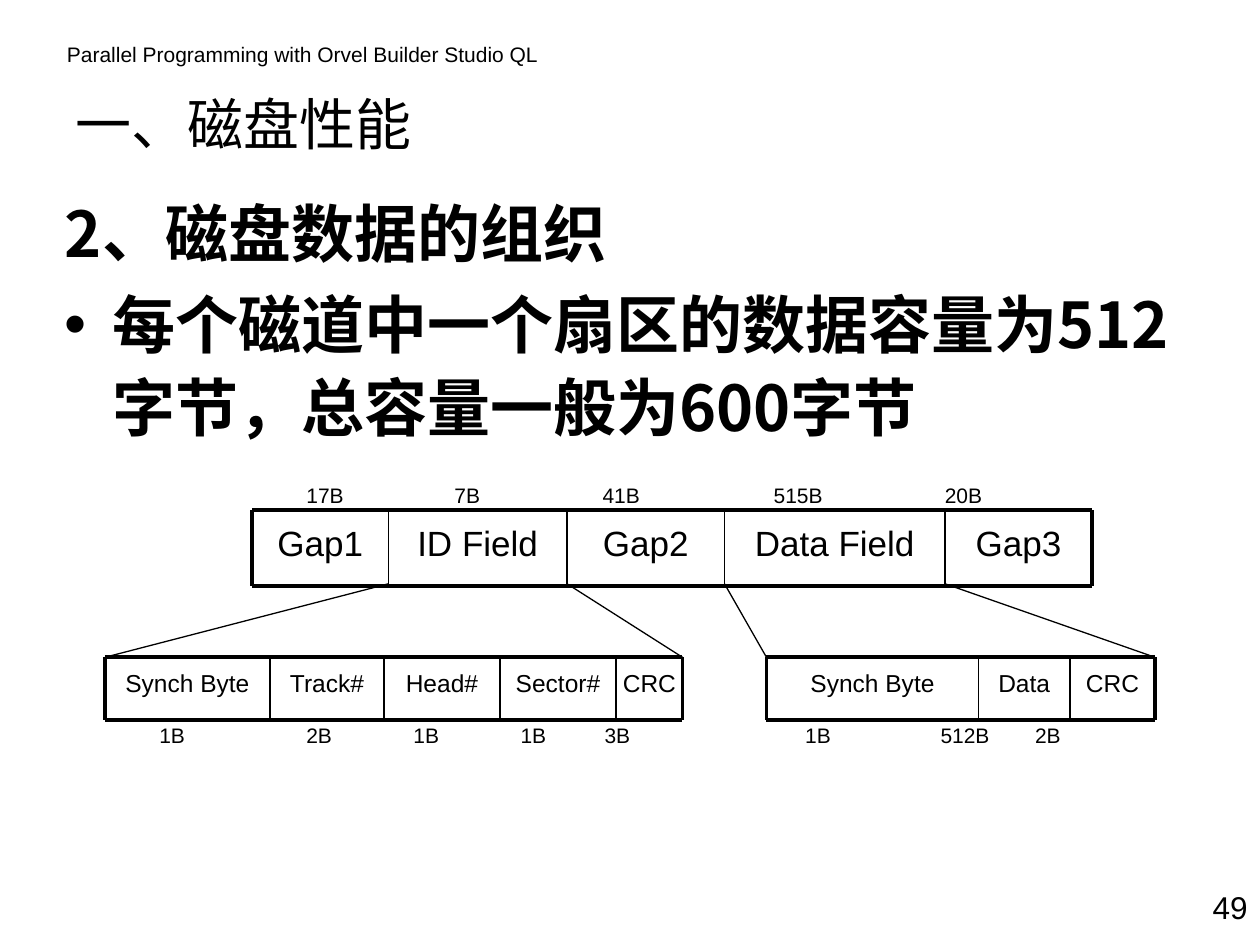
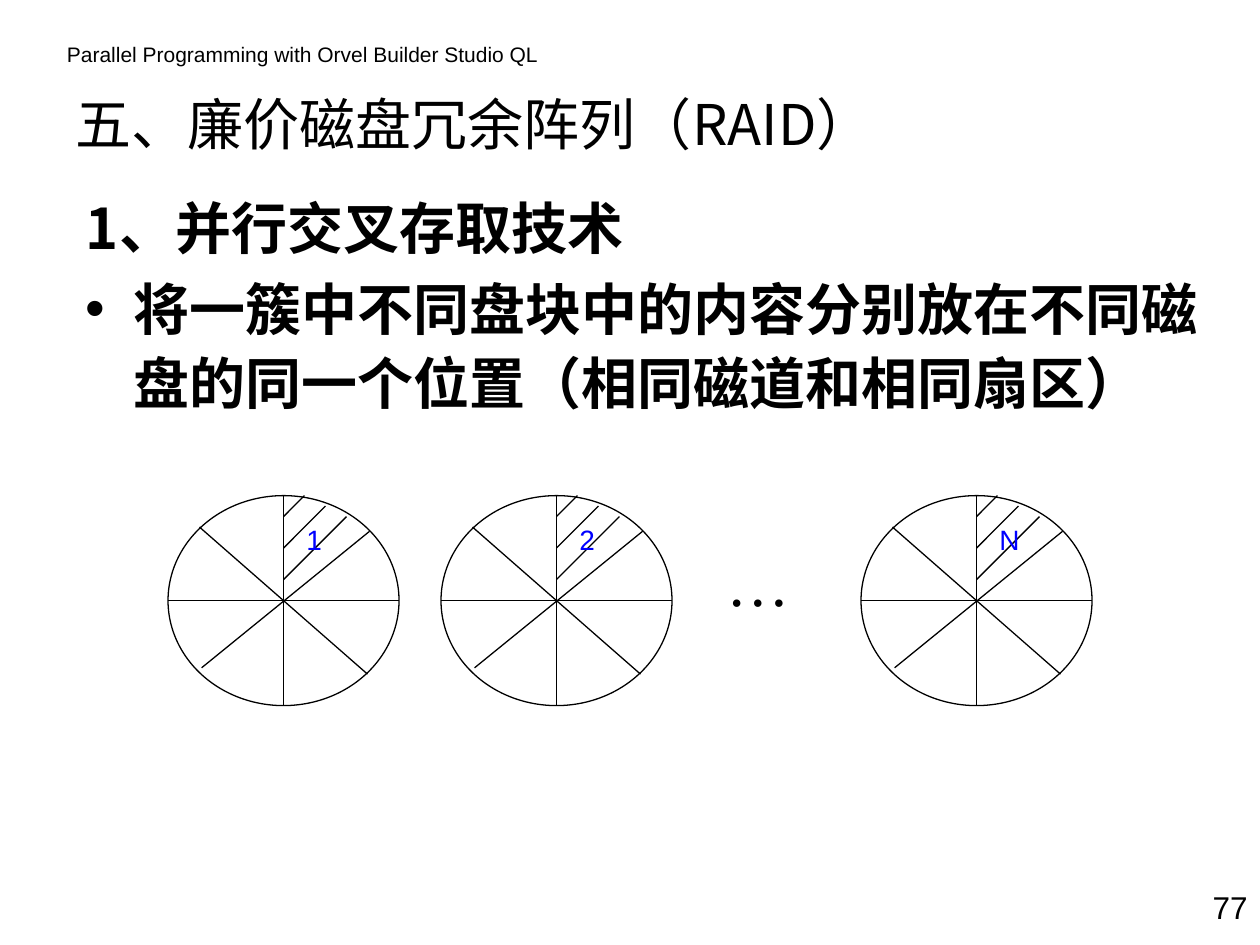
from dataclasses import dataclass
from itertools import pairwise

from lxml import etree
from pptx import Presentation
from pptx.dml.color import RGBColor
from pptx.enum.shapes import MSO_CONNECTOR, MSO_SHAPE
from pptx.enum.text import MSO_ANCHOR, PP_ALIGN
from pptx.oxml.ns import qn
from pptx.util import Pt

STRAIGHT = MSO_CONNECTOR.STRAIGHT
ELLIPSE = MSO_SHAPE.OVAL
LEFT, CENTER, RIGHT = PP_ALIGN.LEFT, PP_ALIGN.CENTER, PP_ALIGN.RIGHT
TOP, MIDDLE = MSO_ANCHOR.TOP, MSO_ANCHOR.MIDDLE

EMU_PER_PX = 7620  # 120 px to the inch
SLIDE_WIDTH, SLIDE_HEIGHT = 1200, 900
BULLET_INDENT = 45


@dataclass(frozen=True)
class Theme:
    ink: RGBColor = RGBColor(0, 0, 0)
    accent: RGBColor = RGBColor(0, 0, 255)
    paper: RGBColor = RGBColor(255, 255, 255)
    plain_font: str = "Arial"
    heading_font: str = "Noto Sans CJK SC"
    symbol_font: str = "Times New Roman"
    small: int = 12
    field: int = 14
    disk: int = 16
    page: int = 18
    record: int = 20
    title: int = 32
    symbol: int = 36
    hairline: float = 0.75
    divider: float = 1
    frame: float = 2.25


def emu(px):
    return round(px * EMU_PER_PX)


class Deck:
    """Holds the theme and the slide being drawn."""

    def __init__(self, theme):
        self.theme = theme
        self.presentation = Presentation()
        self.presentation.slide_width = emu(SLIDE_WIDTH)
        self.presentation.slide_height = emu(SLIDE_HEIGHT)
        self.slide = None

    def new_slide(self, title, title_width, page_number):
        blank = self.presentation.slide_layouts[6]
        self.slide = self.presentation.slides.add_slide(blank)
        background = self.slide.background.fill
        background.solid()
        background.fore_color.rgb = self.theme.paper
        self.text("Parallel Programming with Orvel Builder Studio QL", (52, 34, 492, 36))
        self.text(title, (60, 72, title_width, 90), size=self.theme.title,
                  font=self.theme.heading_font, anchor=MIDDLE)
        self.text(str(page_number), (1120, 840, 80, 48), size=self.theme.page, align=RIGHT)

    def text(self, text, box, *, size=None, font=None, color=None, bold=False,
             align=LEFT, anchor=TOP, inset=(12, 6), tabs=()):
        """Adds a text box with one paragraph and returns its text frame."""
        shape = self.slide.shapes.add_textbox(*map(emu, box))
        frame = shape.text_frame
        frame.word_wrap = True
        frame.vertical_anchor = anchor
        frame.margin_left = frame.margin_right = emu(inset[0])
        frame.margin_top = emu(inset[1])
        frame.margin_bottom = emu(6)
        paragraph = frame.paragraphs[0]
        paragraph.alignment = align
        self.run(paragraph, text, size=size, font=font, color=color, bold=bold)
        if tabs:
            tab_list = etree.SubElement(paragraph._p.get_or_add_pPr(), qn("a:tabLst"))
            for position in tabs:
                etree.SubElement(tab_list, qn("a:tab"), pos=str(emu(position)), algn="l")
        return frame

    def run(self, paragraph, text, *, size=None, font=None, color=None, bold=False):
        run = paragraph.add_run()
        run.text = text
        run.font.size = Pt(size or self.theme.small)
        run.font.bold = bold
        run.font.color.rgb = color or self.theme.ink
        run.font.name = font or self.theme.plain_font
        etree.SubElement(run._r.get_or_add_rPr(), qn("a:ea"), typeface=run.font.name)

    def body(self, heading, point, box, *, size, space_before):
        """Adds a bold numbered heading with one bullet point below it."""
        style = {"size": size, "font": self.theme.heading_font, "bold": True}
        frame = self.text(heading, box, **style)
        self.run(frame.add_paragraph(), point, **style)
        for paragraph in frame.paragraphs:
            paragraph.line_spacing = 1.1
            paragraph.space_before = Pt(space_before)
            properties = paragraph._p.get_or_add_pPr()
            properties.set("marL", str(emu(BULLET_INDENT)))
            properties.set("indent", str(-emu(BULLET_INDENT)))
        etree.SubElement(properties, qn("a:buFont"), typeface=self.theme.plain_font)
        etree.SubElement(properties, qn("a:buChar"), char="•")

    def line(self, start, end, width=None):
        connector = self.slide.shapes.add_connector(STRAIGHT, *map(emu, (*start, *end)))
        connector.line.color.rgb = self.theme.ink
        connector.line.width = Pt(width or self.theme.hairline)
        etree.SubElement(connector._element.spPr, qn("a:effectLst"))

    def ellipse(self, box):
        shape = self.slide.shapes.add_shape(ELLIPSE, *map(emu, box))
        shape.shadow.inherit = False
        shape.fill.background()
        shape.line.color.rgb = self.theme.ink
        shape.line.width = Pt(self.theme.hairline)

    def field_row(self, names, edges, top, height, *, size, inset):
        """Draws adjoining fields in a thick frame with thin dividers."""
        bottom = top + height
        for name, (left, right) in zip(names, pairwise(edges)):
            self.text(name, (left, top, right - left, height), size=size,
                      align=CENTER, inset=inset)
        for y in (top, bottom):
            self.line((edges[0], y), (edges[-1], y), self.theme.frame)
        for x in edges:
            outer = x in (edges[0], edges[-1])
            self.line((x, top), (x, bottom),
                      self.theme.frame if outer else self.theme.divider)

    def disk(self, label, left, top):
        """Draws a disk of eight sectors with one hatched and labelled."""
        self.ellipse((left, top, 220, 200))
        spokes = [(30, 30, 190, 170), (0, 100, 220, 100), (110, 0, 110, 200), (192, 34, 32, 164)]
        hatching = [(130, 0, 110, 20), (150, 10, 110, 50), (170, 20, 110, 80)]
        for x1, y1, x2, y2 in spokes + hatching:
            self.line((left + x1, top + y1), (left + x2, top + y2))
        self.text(label, (left + 120, top + 20, 40, 44), size=self.theme.disk,
                  color=self.theme.accent)


def sector_layout_slide(deck):
    theme = deck.theme
    deck.new_slide("一、磁盘性能", 610, 49)
    deck.body("2、磁盘数据的组织", "每个磁道中一个扇区的数据容量为512字节，总容量一般为600字节",
              (50, 172, 1120, 540), size=36, space_before=4.5)

    # The sector and the two fields that are shown in detail
    sector_edges = [240, 370, 540, 690, 900, 1040]
    id_edges = [100, 257, 366, 476, 587, 650]
    data_edges = [730, 932, 1019, 1100]
    detail_top = 626
    deck.field_row(["Gap1", "ID Field", "Gap2", "Data Field", "Gap3"], sector_edges,
                   486, 72, size=theme.record, inset=(12, 11))
    details = [(["Synch Byte", "Track#", "Head#", "Sector#", "CRC"], id_edges),
               (["Synch Byte", "Data", "CRC"], data_edges)]
    for names, edges in details:
        deck.field_row(names, edges, detail_top, 60, size=theme.field, inset=(0, 10))

    # Lines from each field to its detail
    detail_ends = [id_edges[0], id_edges[-1], data_edges[0], data_edges[-1]]
    for sector_x, detail_x in zip(sector_edges[1:], detail_ends):
        deck.line((sector_x, 556), (detail_x, detail_top))

    # Field sizes
    deck.text("\t".join(["17B", "7B", "41B", "515B", "20B"]), (280, 454, 740, 36),
              tabs=(141, 282, 445, 608))
    deck.text("\t".join(["1B", "2B", "1B", "1B", "3B", "1B", "512B", "2B"]),
              (140, 682, 960, 36), tabs=(140, 242, 344, 424, 615, 744, 834))


def interleaving_slide(deck):
    theme = deck.theme
    deck.new_slide("五、廉价磁盘冗余阵列（RAID）", 860, 77)
    deck.body("1、并行交叉存取技术", "将一簇中不同盘块中的内容分别放在不同磁盘的同一个位置（相同磁道和相同扇区）",
              (70, 172, 1110, 270), size=32, space_before=4)

    # Disks 1, 2 … N
    for label, left in (("1", 160), ("2", 420), ("N", 820)):
        deck.disk(label, left, 472)
    deck.text("…", (680, 512, 90, 84), size=theme.symbol, font=theme.symbol_font)


def main():
    deck = Deck(Theme())
    sector_layout_slide(deck)
    interleaving_slide(deck)
    deck.presentation.save("out.pptx")


if __name__ == "__main__":
    main()
